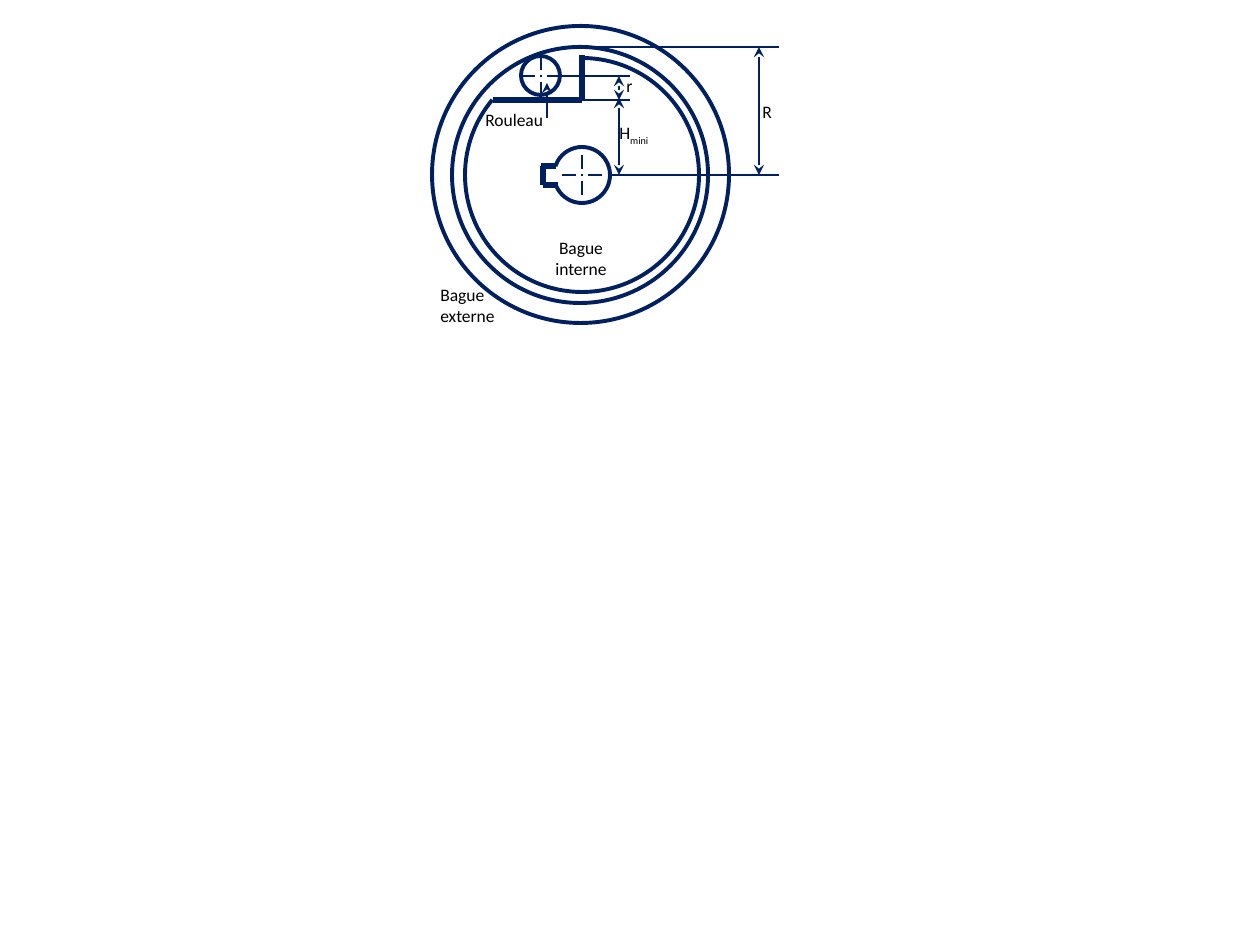
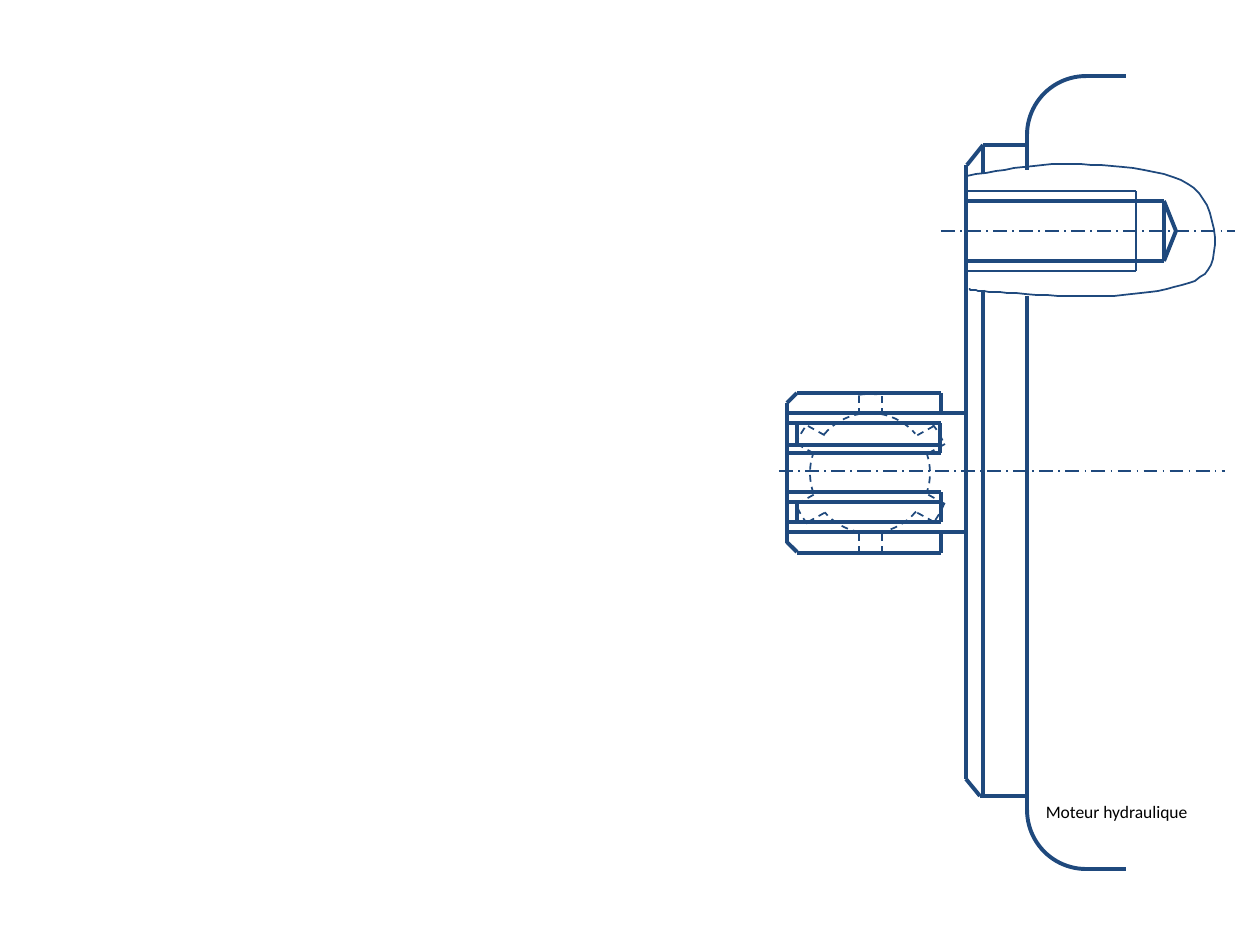
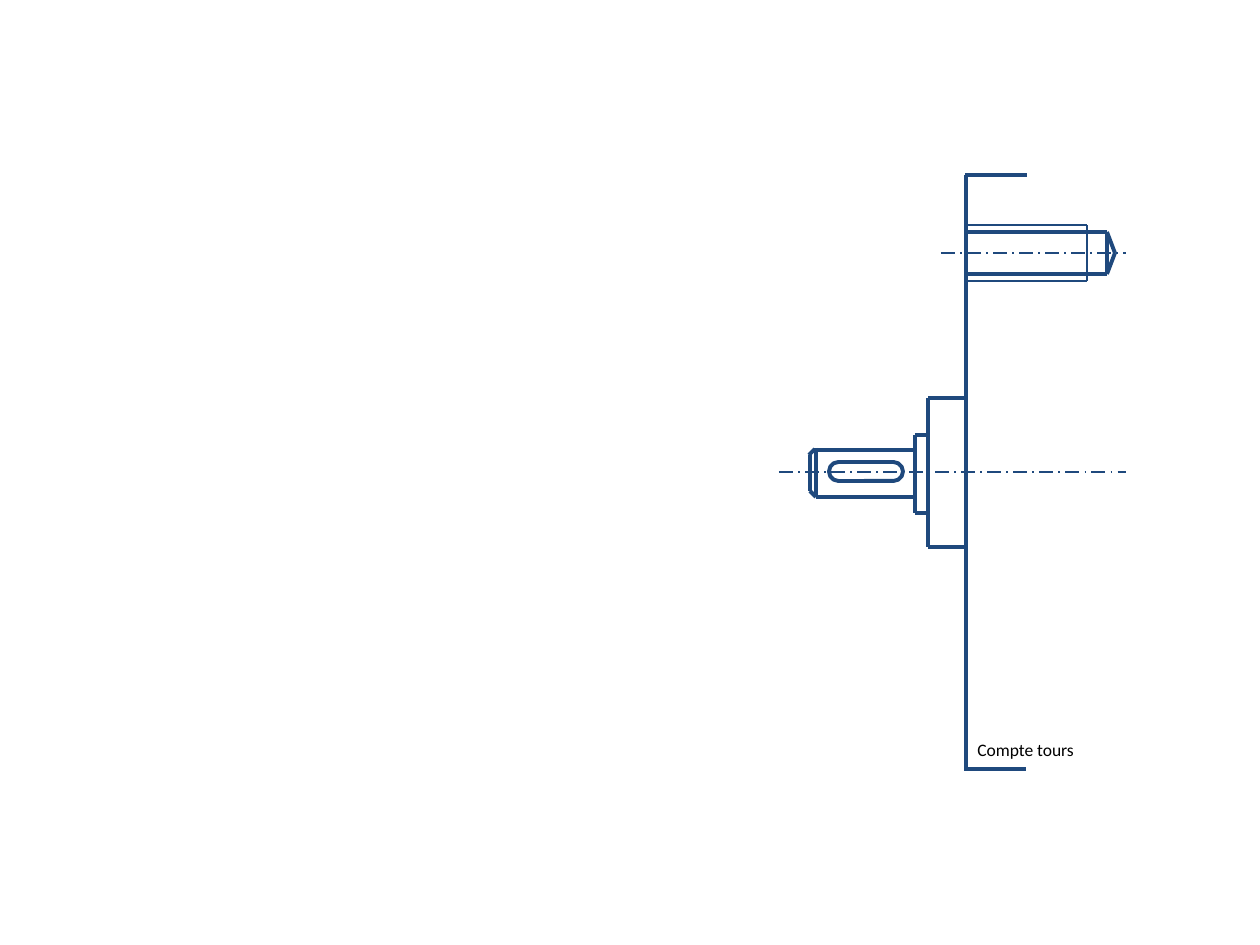
"""Three technical drawings: a freewheel, a hydraulic motor and a tachometer."""
from lxml.etree import SubElement
from pptx import Presentation
from pptx.dml.color import RGBColor
from pptx.enum.dml import MSO_LINE as DASH
from pptx.enum.shapes import MSO_CONNECTOR, MSO_SHAPE as SHAPE
from pptx.enum.text import MSO_AUTO_SIZE, PP_ALIGN as ALIGN
from pptx.oxml.ns import qn
from pptx.util import Pt

PX = 914400 / 126
COLORS = {"navy": "002060", "blue": "1F497D", "text": "000000"}
FONT = "Calibri"
THICK, THIN = 2.25, 1
AXIS, HIDDEN = DASH.LONG_DASH_DOT, DASH.DASH


def stroke(sp, color, pt, dash=None, ends=()):
    ln = sp.line
    ln.color.rgb = RGBColor.from_string(COLORS[color])
    ln.width = Pt(pt)
    if dash:
        ln.dash_style = dash
    for end in ends:
        SubElement(ln._get_or_add_ln(), qn("a:" + end), type="stealth")
    SubElement(sp._element.spPr, qn("a:effectLst"))


def text(s, txt, x, y, w, h=34, sub="", align=ALIGN.LEFT):
    tf = s.shapes.add_textbox(*[round(v * PX) for v in (x, y, w, h)]).text_frame
    tf.word_wrap = True
    tf.auto_size = MSO_AUTO_SIZE.SHAPE_TO_FIT_TEXT
    p = tf.paragraphs[0]
    p.alignment = align
    for part in filter(None, (txt, sub)):
        r = p.add_run()
        r.text = part
        r.font.name, r.font.size = FONT, Pt(10)
        r.font.color.rgb = RGBColor.from_string(COLORS["text"])
        if part == sub:
            r.font._element.set("baseline", "-25000")


prs = Presentation()
prs.slide_width, prs.slide_height = round(1260 * PX), round(945 * PX)
wheel, motor, tacho = [prs.slides.add_slide(prs.slide_layouts[6]) for _ in range(3)]

crosses = []
for x, y in [(541, 76), (582, 175)]:
    crosses += [(x, y + 20, x, y - 20), (x + 20, y, x - 20, y)]

splines = [(x, y1, x, y2) for x in (859, 882) for y1, y2 in ((415, 396), (553, 533))]
for sx in (1, -1):
    for sy in (1, -1):
        for x1, y1, x2, y2 in [(74, 30, 56, 20), (63, 48, 45, 38)]:
            splines.append((871 + sx * x1, 474 + sy * y1, 871 + sx * x2, 474 + sy * y2))

shaft_edges = [(941, y, 787, y) for y in (423, 445, 453, 492, 502, 522)]

lines = [
    (wheel, "navy", 3, None, (), [
        (582, 100, 582, 55), (493, 100, 582, 100),
        (556, 166, 541, 166), (558, 185, 543, 185), (543, 166, 543, 185)]),
    (wheel, "navy", THIN, AXIS, (), crosses),
    (wheel, "navy", THIN, None, (), [
        (779, 175, 610, 175), (630, 100, 537, 100), (779, 47, 582, 47), (630, 76, 561, 76)]),
    (wheel, "navy", THIN, None, ("headEnd", "tailEnd"), [
        (619, 76, 619, 100), (619, 98, 619, 175), (759, 47, 759, 175)]),
    (wheel, "navy", THIN, None, ("headEnd",), [(547, 83, 547, 118)]),
    (motor, "blue", THICK, None, (), [
        (1027, 296, 1027, 810), (1126, 76, 1086, 76), (1126, 869, 1086, 869),
        (1027, 135, 1027, 170), (1027, 145, 983, 145), (983, 145, 967, 165),
        (1026, 796, 980, 796), (980, 796, 966, 779), (966, 165, 966, 779),
        (983, 145, 983, 174), (983, 290, 983, 796)]),
    (motor, "blue", THICK, None, (), shaft_edges + [
        (967, 413, 789, 413), (966, 532, 787, 532), (787, 543, 787, 403),
        (787, 403, 797, 393), (787, 542, 797, 552), (941, 393, 797, 393),
        (941, 553, 797, 553), (941, 413, 941, 393), (941, 553, 941, 532),
        (941, 522, 941, 492), (940, 453, 940, 423), (797, 445, 797, 423),
        (797, 522, 797, 501)]),
    (motor, "blue", THIN, HIDDEN, (), splines),
    (motor, "blue", THIN, AXIS, (), [(779, 471, 1225, 471)]),
    (tacho, "blue", THIN, AXIS, (), [(779, 472, 1126, 472)]),
    (tacho, "blue", THICK, None, (), [
        (1027, 175, 965, 175), (966, 175, 966, 769), (1026, 769, 964, 769),
        (967, 398, 928, 398), (967, 547, 928, 547), (928, 398, 928, 547),
        (915, 435, 928, 435), (915, 513, 928, 513), (915, 435, 915, 513),
        (816, 450, 915, 450), (816, 448, 816, 497), (816, 497, 915, 497),
        (815, 449, 809, 455), (816, 497, 810, 491), (810, 455, 810, 491)]),
]

for s, y, axis_end, bore_end, tip, thread_end, bore, thread in [
        (motor, 231, 1235, 1164, 1176, 1136, 30, 40),
        (tacho, 253, 1126, 1107, 1115, 1087, 21, 28)]:
    lines += [
        (s, "blue", THIN, AXIS, (), [(941, y, axis_end, y)]),
        (s, "blue", THICK, None, (), [
            (bore_end, y - bore, 967, y - bore), (bore_end, y + bore, 967, y + bore),
            (bore_end, y - bore, bore_end, y + bore),
            (bore_end, y - bore, tip, y), (tip, y, bore_end, y + bore)]),
        (s, "blue", THIN, None, (), [
            (thread_end, y - thread, 967, y - thread), (thread_end, y + thread, 967, y + thread),
            (thread_end, y + thread, thread_end, y - thread)])]

for s, color, pt, dash, ends, coords in lines:
    for xy in coords:
        sp = s.shapes.add_connector(MSO_CONNECTOR.STRAIGHT, *[round(v * PX) for v in xy])
        stroke(sp, color, pt, dash, ends)

outlines = [
    (wheel, SHAPE.OVAL, (432, 26, 297, 297), 0, (), "navy", THICK, None),
    (wheel, SHAPE.OVAL, (452, 47, 256, 256), 0, (), "navy", THICK, None),
    (wheel, SHAPE.OVAL, (521, 56, 39, 39), 0, (), "navy", THICK, None),
    (wheel, SHAPE.ARC, (465, 58, 234, 234), 0, (270, 220), "navy", THICK, None),
    (wheel, SHAPE.ARC, (554, 147, 56, 56), 0, (198.5, 157.5), "navy", THICK, None),
    (motor, SHAPE.ARC, (1027, 76, 118, 118), 270, (270, 0), "blue", THICK, None),
    (motor, SHAPE.ARC, (1027, 751, 118, 118), 180, (270, 0), "blue", THICK, None),
    (tacho, SHAPE.ROUNDED_RECTANGLE, (829, 462, 74, 19), 0, (), "blue", THICK, None),
]
for box, start, sweep in [((810, 413, 120, 120), 40, 39), ((790, 394, 160, 160), 21.5, 17)]:
    for turn in range(0, 360, 60):
        angles = ((start + turn) % 360, (start + turn + sweep) % 360)
        outlines.append((motor, SHAPE.ARC, box, 0, angles, "blue", THIN, HIDDEN))

for s, kind, box, rotation, angles, color, pt, dash in outlines:
    sp = s.shapes.add_shape(kind, *[round(v * PX) for v in box])
    sp.rotation = rotation
    for i, angle in enumerate(angles):
        sp.adjustments[i] = angle * 0.6
    if kind == SHAPE.ROUNDED_RECTANGLE:
        sp.adjustments[0] = 0.5
    sp.fill.background()
    stroke(sp, color, pt, dash)

cutaway = [(967, 176)]
for curve in [
        ((1005, 169), (1043, 163), (1081, 164)), ((1119, 166), (1173, 170), (1194, 188)),
        ((1215, 205), (1221, 252), (1208, 270)), ((1197, 287), (1158, 291), (1123, 295)),
        ((1089, 299), (1026, 294), (1000, 292)), ((974, 291), (971, 290), (969, 289))]:
    knots = (cutaway[-1], *curve)
    for t in [i / 12 for i in range(1, 13)]:
        weights = ((1 - t) ** 3, 3 * t * (1 - t) ** 2, 3 * t * t * (1 - t), t ** 3)
        cutaway.append(tuple(sum(w * k[axis] for w, k in zip(weights, knots)) for axis in (0, 1)))
fb = motor.shapes.build_freeform(*cutaway[0], scale=PX)
fb.add_line_segments(cutaway[1:], close=False)
sp = fb.convert_to_shape()
sp.fill.background()
stroke(sp, "blue", THIN)

text(wheel, "R", 750, 95, 44)
text(wheel, "H", 607, 116, 62, sub="mini")
text(wheel, "r", 614, 69, 62)
text(wheel, "Bague interne", 525, 231, 112, 55, align=ALIGN.CENTER)
text(wheel, "Bague externe", 428, 278, 112, 55)
text(wheel, "Rouleau", 473, 103, 112)
text(motor, "Moteur hydraulique", 1018, 795, 197, align=ALIGN.CENTER)
text(tacho, "Compte tours", 965, 733, 197)

prs.save("out.pptx")
